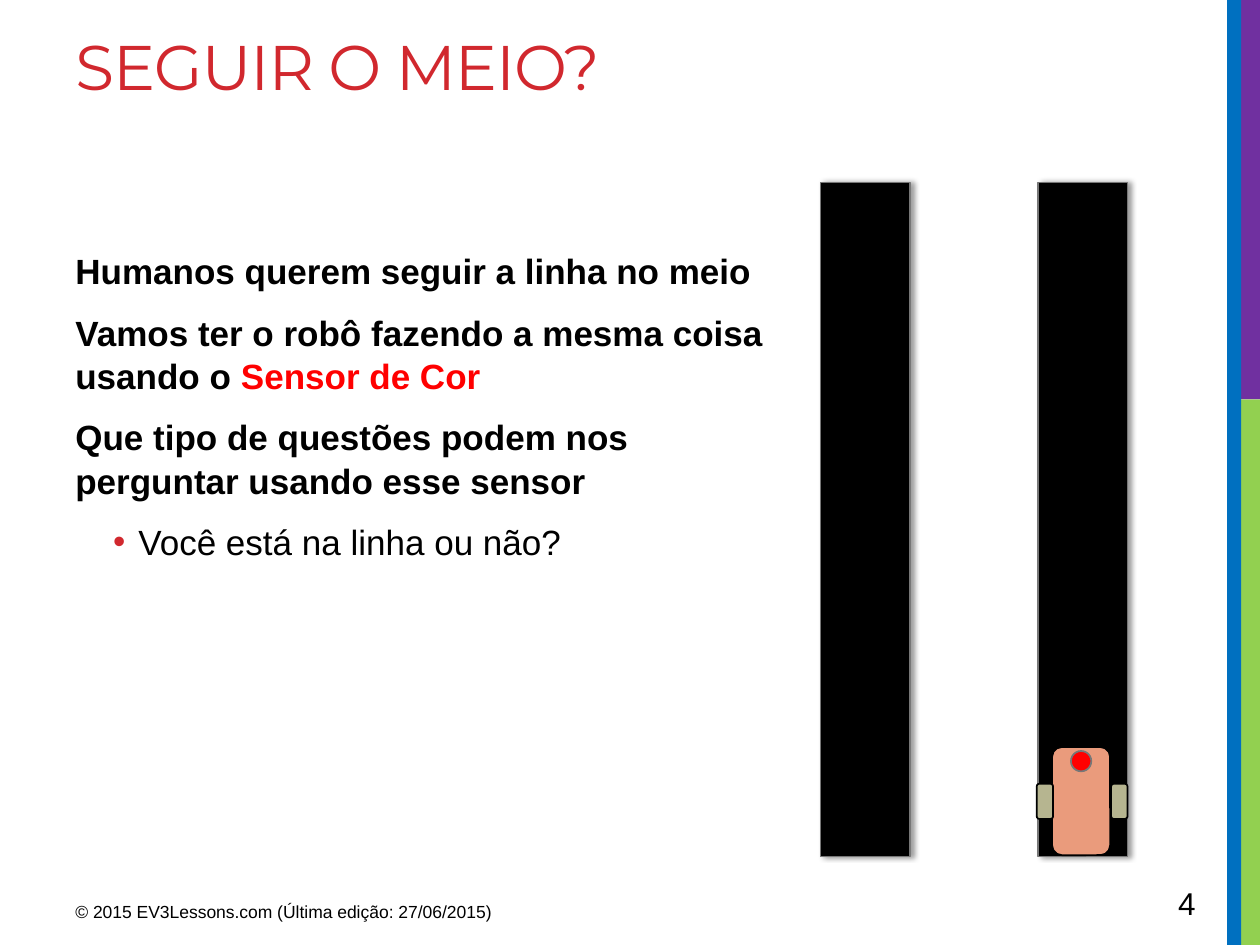
from lxml.etree import SubElement
from pptx import Presentation
from pptx.dml.color import RGBColor
from pptx.enum.shapes import MSO_SHAPE
from pptx.enum.text import MSO_ANCHOR
from pptx.oxml.ns import qn
from pptx.util import Cm, Pt

COLORS = {
    "title": "D1282E", "text": "000000", "accent": "FF0000",
    "blue": "0070C0", "green": "92D050", "purple": "7030A0",
    "track": "000000", "outline": "777777", "edge": "000000",
    "body": "EA9B7C", "wheel": "B6B590", "sensor": "FF0000",
}


def rgb(name):
    return RGBColor.from_string(COLORS[name])


class SlideBuilder:
    def __init__(self, slide, font="Arial"):
        self.s = slide
        self.font = font

    def shape(self, kind, box, fill, line=None, parent=None):
        shapes = (parent or self.s).shapes
        sp = shapes.add_shape(kind, *map(Cm, box))
        sp.shadow.inherit = False
        sp.fill.solid()
        sp.fill.fore_color.rgb = rgb(fill)
        if line:
            sp.line.color.rgb = rgb(line)
            sp.line.width = Pt(1)
        else:
            sp.line.fill.background()
        return sp

    def cast_shadow(self, sp):
        """Give the shape a soft shadow to its right."""
        effects = sp._element.spPr.find(qn("a:effectLst"))
        outer = SubElement(effects, qn("a:outerShdw"), blurRad=str(Pt(3.1)),
                           dist=str(Pt(1.8)), dir="0", algn="ctr", rotWithShape="0")
        color = SubElement(outer, qn("a:srgbClr"), val=COLORS["track"])
        SubElement(color, qn("a:alpha"), val="40000")

    def text_box(self, box, anchor=MSO_ANCHOR.TOP):
        tf = self.s.shapes.add_textbox(*map(Cm, box)).text_frame
        tf.word_wrap = True
        tf.vertical_anchor = anchor
        return tf

    def run(self, p, text, size, color="text", bold=False, font=None):
        r = p.add_run()
        r.text = text
        r.font.name = font or self.font
        r.font.size = Pt(size)
        r.font.bold = bold
        r.font.color.rgb = rgb(color)
        return r

    def label(self, box, text, size, **style):
        return self.run(self.text_box(box).paragraphs[0], text, size, **style)

    def bullet(self, p):
        pPr = p._p.get_or_add_pPr()
        pPr.set("marL", str(Cm(1.27)))
        pPr.set("indent", str(-Cm(0.51)))
        color = SubElement(pPr, qn("a:buClr"))
        SubElement(color, qn("a:srgbClr"), val=COLORS["title"])
        SubElement(pPr, qn("a:buFont"), typeface="Arial")
        SubElement(pPr, qn("a:buChar"), char="•")

    def points(self, box, items, size):
        """Each item is (bulleted, [(text, color), ...]); plain items are bold."""
        tf = self.text_box(box)
        for i, (bulleted, runs) in enumerate(items):
            p = tf.add_paragraph() if i else tf.paragraphs[0]
            p.line_spacing = 1.04
            p.space_before = Pt(4 if i else 0)
            p.space_after = Pt(6)
            if bulleted:
                self.bullet(p)
            for text, color in runs:
                self.run(p, text, size, color, bold=not bulleted)

    def robot(self):
        group = self.s.shapes.add_group_shape()
        rounded = MSO_SHAPE.ROUNDED_RECTANGLE
        self.shape(rounded, (21.21, 15.06, 1.17, 2.18), "body", "edge", group)
        for left in (22.4, 20.9):
            self.shape(rounded, (left, 15.8, 0.33, 0.71), "wheel", "edge", group)
        self.shape(MSO_SHAPE.OVAL, (21.59, 15.14, 0.41, 0.41), "sensor", "outline", group)


def main():
    prs = Presentation()
    prs.slide_width, prs.slide_height = Cm(25.4), Cm(19.05)
    b = SlideBuilder(prs.slides.add_slide(prs.slide_layouts[6]))

    side_bars = [
        ((24.99, 8.05, 0.41, 11), "green"),
        ((24.89, 0, 0.51, 8.05), "purple"),
        ((24.74, 0, 0.28, 19.05), "blue"),
    ]
    for box, color in side_bars:
        b.shape(MSO_SHAPE.RECTANGLE, box, color)

    title = b.label((1.27, 0.43, 22.91, 3.81), "SEGUIR O MEIO?", 36,
                    color="title", font="Montserrat")
    title._r.get_or_add_rPr().set("spc", "-60")

    b.points((1.27, 4.88, 14.48, 12.14), [
        (False, [("Humanos querem seguir a linha no meio", "text")]),
        (False, [("Vamos ter o robô fazendo a mesma coisa usando o ", "text"),
                 ("Sensor de Cor", "accent")]),
        (False, [("Que tipo de questões podem nos perguntar usando esse sensor", "text")]),
        (True, [("Você está na linha ou não?", "text")]),
    ], 20)

    b.label((1.27, 18.03, 9.53, 0.79),
            "© 2015 EV3Lessons.com (Última edição: 27/06/2015)", 10)
    b.label((23.5, 17.7, 1.75, 1.02), "4", 18)

    for left in (16.54, 20.93):
        track = b.shape(MSO_SHAPE.RECTANGLE, (left, 3.68, 1.8, 13.59), "track", "outline")
        b.cast_shadow(track)
    b.robot()

    prs.save("out.pptx")


if __name__ == "__main__":
    main()
